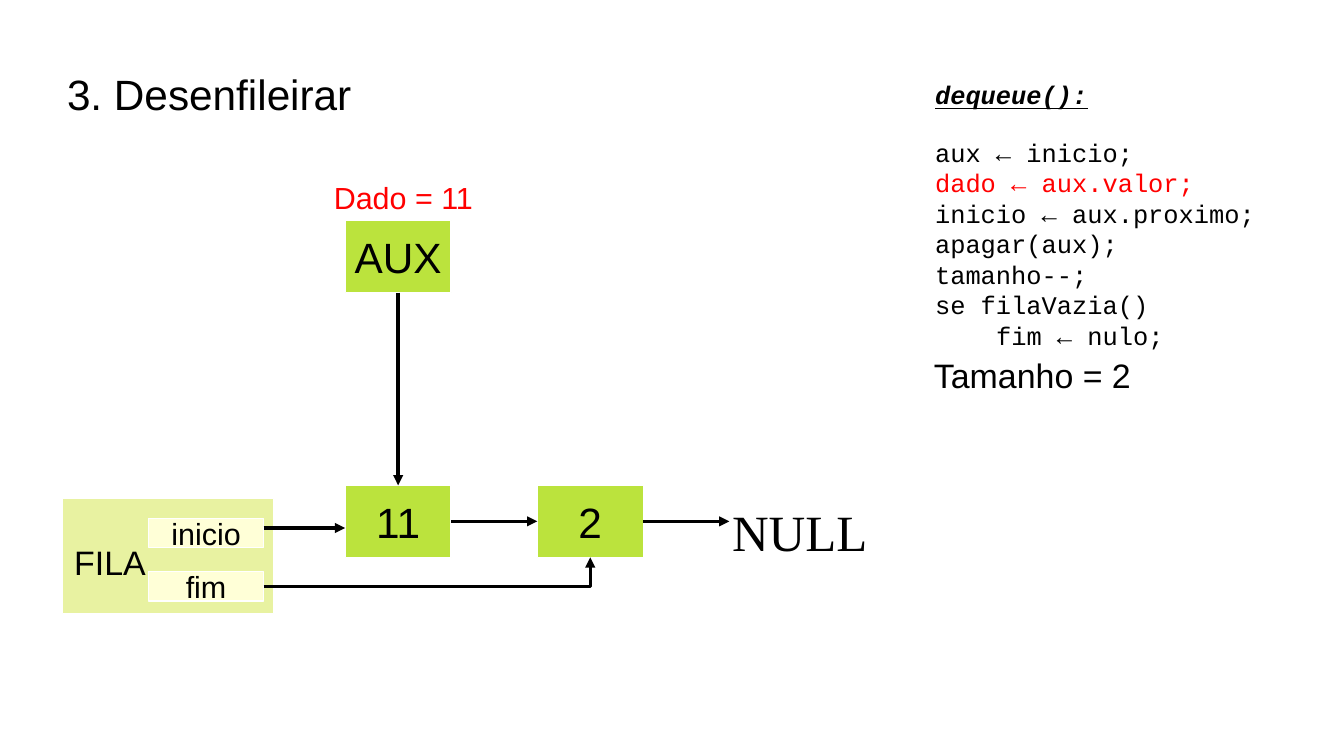
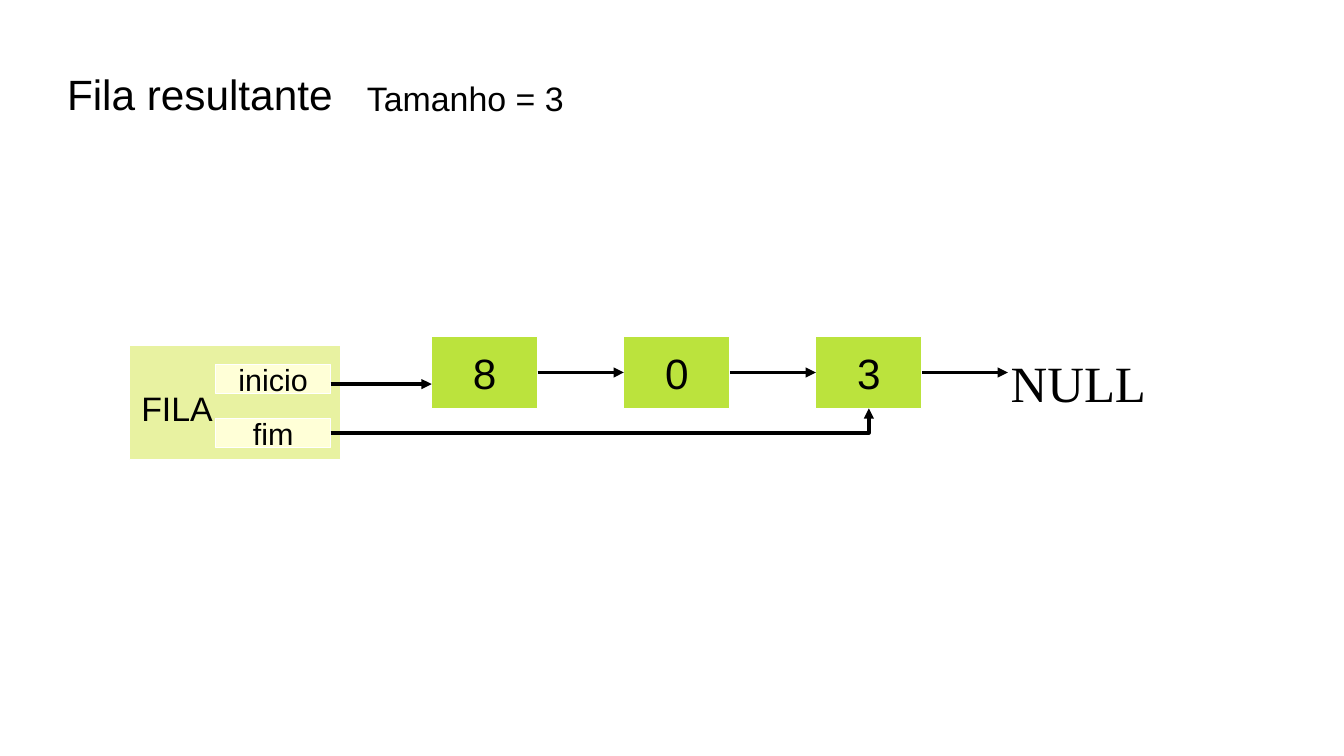
"""Builds two slides that show a linked queue before and after dequeuing."""
from lxml import etree
from pptx import Presentation
from pptx.dml.color import RGBColor
from pptx.enum import shapes, text
from pptx.oxml import ns
from pptx.util import Pt

BLACK, WHITE, RED = "000000", "FFFFFF", "FF0000"
NODE_FILL, QUEUE_FILL, FIELD_FILL = "BBE33D", "E8F2A1", "FFFFD7"
BODY_FONT, CODE_FONT, NULL_FONT = "Arial", "Courier New", "Times New Roman"
NODE_WIDTH, NODE_HEIGHT, NODE_PITCH = 62.6, 42.5, 113.4
TOP, LEFT, BOTTOM, RIGHT = range(4)

DEQUEUE_CODE = [
    "aux ← inicio;",
    "dado ← aux.valor;",
    "inicio ← aux.proximo;",
    "apagar(aux);",
    "tamanho--;",
    "se filaVazia()",
    "\tfim ← nulo;",
]
ACTIVE_LINE = 1


def color(value):
    """Turn a hex string into a colour."""
    return RGBColor.from_string(value)


def style(para, size, font=BODY_FONT, ink=BLACK):
    """Format every run of a paragraph."""
    for span in para.runs:
        span.font.size = Pt(size)
        span.font.name = font
        span.font.color.rgb = color(ink)


def add_label(page, content, left, top, width, height, size, **look):
    """Add a left-aligned text box with one paragraph."""
    box = page.shapes.add_textbox(Pt(left), Pt(top), Pt(width), Pt(height))
    box.text_frame.word_wrap = True
    box.text_frame.text = content
    style(box.text_frame.paragraphs[0], size, **look)
    return box


def add_title(page, content):
    """Add the slide title."""
    frame = add_label(page, content, 39.6, 18, 714, 75, 25).text_frame
    frame.margin_left = frame.margin_top = frame.margin_right = frame.margin_bottom = 0
    frame.vertical_anchor = text.MSO_ANCHOR.MIDDLE


def add_box(page, left, top, width, height, fill, content="", size=25):
    """Add a filled rectangle with centred text."""
    box = page.shapes.add_shape(
        shapes.MSO_SHAPE.RECTANGLE, Pt(left), Pt(top), Pt(width), Pt(height))
    box.shadow.inherit = False
    box.fill.solid()
    box.fill.fore_color.rgb = color(fill)
    box.line.color.rgb = color(WHITE)
    box.line.width = Pt(0)
    if content:
        frame = box.text_frame
        frame.word_wrap = False
        frame.vertical_anchor = text.MSO_ANCHOR.MIDDLE
        frame.text = content
        frame.paragraphs[0].alignment = text.PP_ALIGN.CENTER
        style(frame.paragraphs[0], size)
    return box


def add_node(page, content, left, top):
    """Add one node of the list."""
    return add_box(page, left, top, NODE_WIDTH, NODE_HEIGHT, NODE_FILL, content)


def add_arrow(page, start=(0, 0), end=(0, 0), source=None, target=None, bent=False):
    """Add an arrow between points, or between (shape, side) joints."""
    kind = shapes.MSO_CONNECTOR.ELBOW if bent else shapes.MSO_CONNECTOR.STRAIGHT
    arrow = page.shapes.add_connector(kind, *(Pt(value) for value in (*start, *end)))
    if source:
        arrow.begin_connect(*source)
    if target:
        arrow.end_connect(*target)
    arrow.line.color.rgb = color(BLACK)
    arrow.line.width = Pt(0)
    properties = arrow.line._get_or_add_ln().getparent()
    if bent:
        properties.find(ns.qn("a:prstGeom")).set("prst", "bentConnector2")
    tip = etree.SubElement(properties.find(ns.qn("a:ln")), ns.qn("a:tailEnd"))
    tip.set("type", "triangle")
    etree.SubElement(properties, ns.qn("a:effectLst"))


def add_queue(page, values, left, top, first_left, node_top, inicio_y):
    """Draw the queue record and its chain of nodes, and return the nodes."""
    add_box(page, left, top, 124.6, 67.7, QUEUE_FILL)
    field_left, field_width = left + 51.1, 67.8
    add_box(page, field_left, top + 11.5, field_width, 17.3, FIELD_FILL, "inicio", 18)
    fim = add_box(page, field_left, top + 43.2, field_width, 17.3, FIELD_FILL, "fim", 18)
    add_label(page, "FILA", left, top + 21.6, 60, 29.5, 20)

    nodes = [add_node(page, value, first_left + index * NODE_PITCH, node_top)
             for index, value in enumerate(values)]
    for node, following in zip(nodes, nodes[1:]):
        add_arrow(page, source=(node, RIGHT), target=(following, LEFT))

    null_left = first_left + len(nodes) * NODE_PITCH
    middle = node_top + NODE_HEIGHT / 2
    add_label(page, "NULL", null_left - 5.5, node_top + 5.5, 98, 37.4, 30, font=NULL_FONT)
    add_arrow(page, end=(null_left, middle), source=(nodes[-1], RIGHT))
    add_arrow(page, (field_left + field_width, inicio_y), (first_left, inicio_y))
    add_arrow(page, source=(fim, RIGHT), target=(nodes[-1], BOTTOM), bent=True)
    return nodes


def add_code(page, left, top):
    """Add the dequeue listing with its active line in red."""
    frame = add_label(page, "dequeue():", left, top, 240, 167, 15, font=CODE_FONT).text_frame
    heading = frame.paragraphs[0]
    heading.space_after = Pt(16)
    font = heading.runs[0].font
    font.bold = font.italic = font.underline = True
    for index, line in enumerate(DEQUEUE_CODE):
        para = frame.add_paragraph()
        para.text = line
        style(para, 15, CODE_FONT, RED if index == ACTIVE_LINE else BLACK)
    for para in frame.paragraphs:
        para.line_spacing = Pt(18)


def build_dequeue(page):
    """Draw the dequeue step."""
    add_title(page, "3. Desenfileirar")
    nodes = add_queue(page, ["11", "2"], 36.7, 294.5, 203.8, 286.6, 311.8)
    aux = add_node(page, "AUX", 203.8, 130.3)
    add_arrow(page, source=(aux, BOTTOM), target=(nodes[0], TOP))
    add_label(page, "Dado = 11", 190, 102.2, 102, 29, 18, ink=RED)
    add_code(page, 545, 43.2)
    add_label(page, "Tamanho = 2", 544.3, 206, 136, 29.5, 20)


def build_result(page):
    """Draw the resulting queue."""
    add_title(page, "Fila resultante")
    add_label(page, "Tamanho = 3", 209.5, 42.5, 136, 29.5, 20)
    add_queue(page, ["8", "0", "3"], 76.3, 203.8, 254.9, 198.7, 226.8)


def main():
    """Build and save the deck."""
    deck = Presentation()
    deck.slide_width, deck.slide_height = Pt(793.5), Pt(446.4)
    for build in (build_dequeue, build_result):
        build(deck.slides.add_slide(deck.slide_layouts[6]))
    deck.save("out.pptx")


if __name__ == "__main__":
    main()
